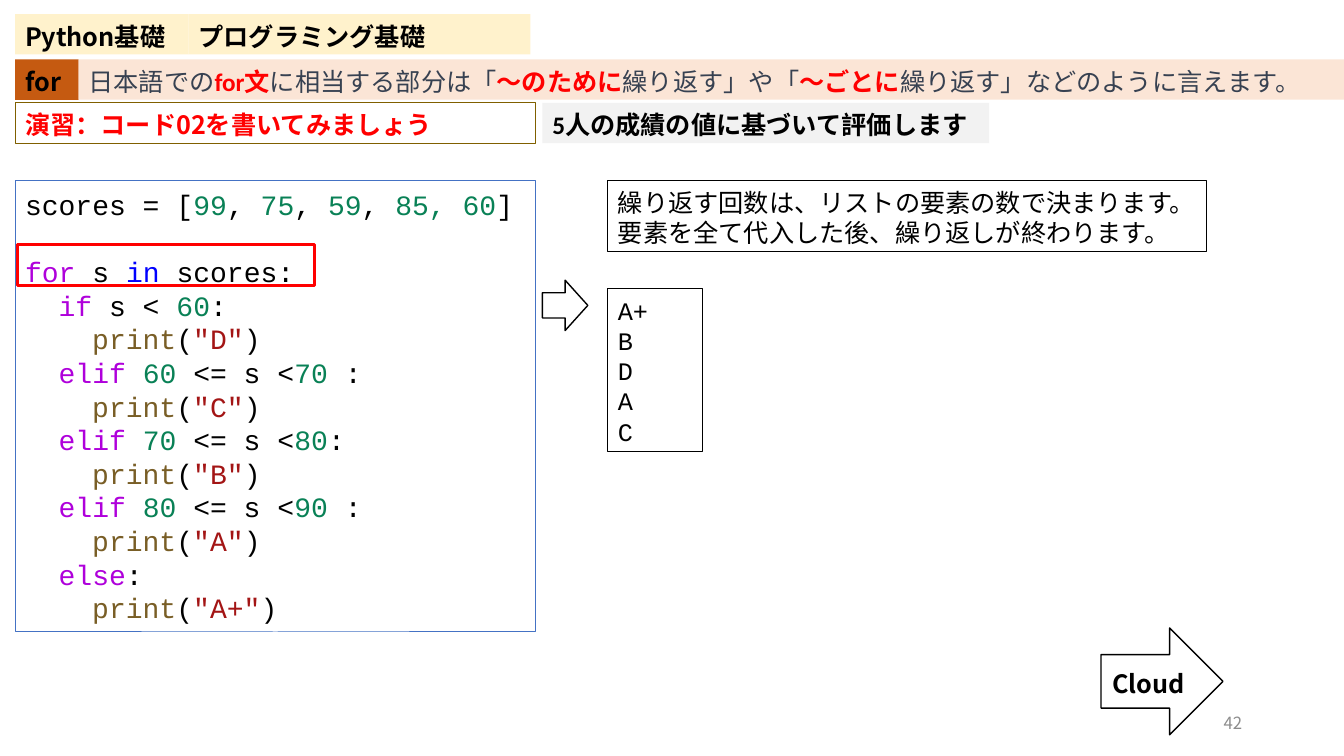
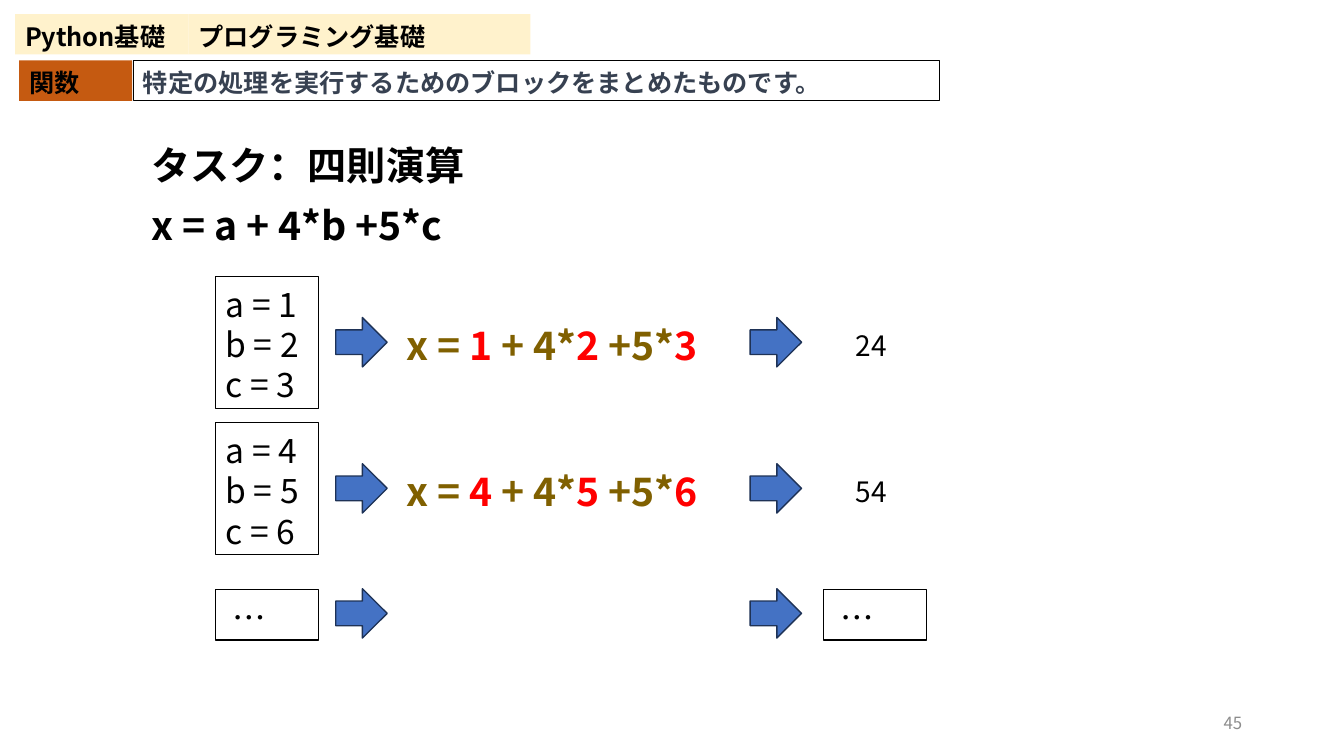
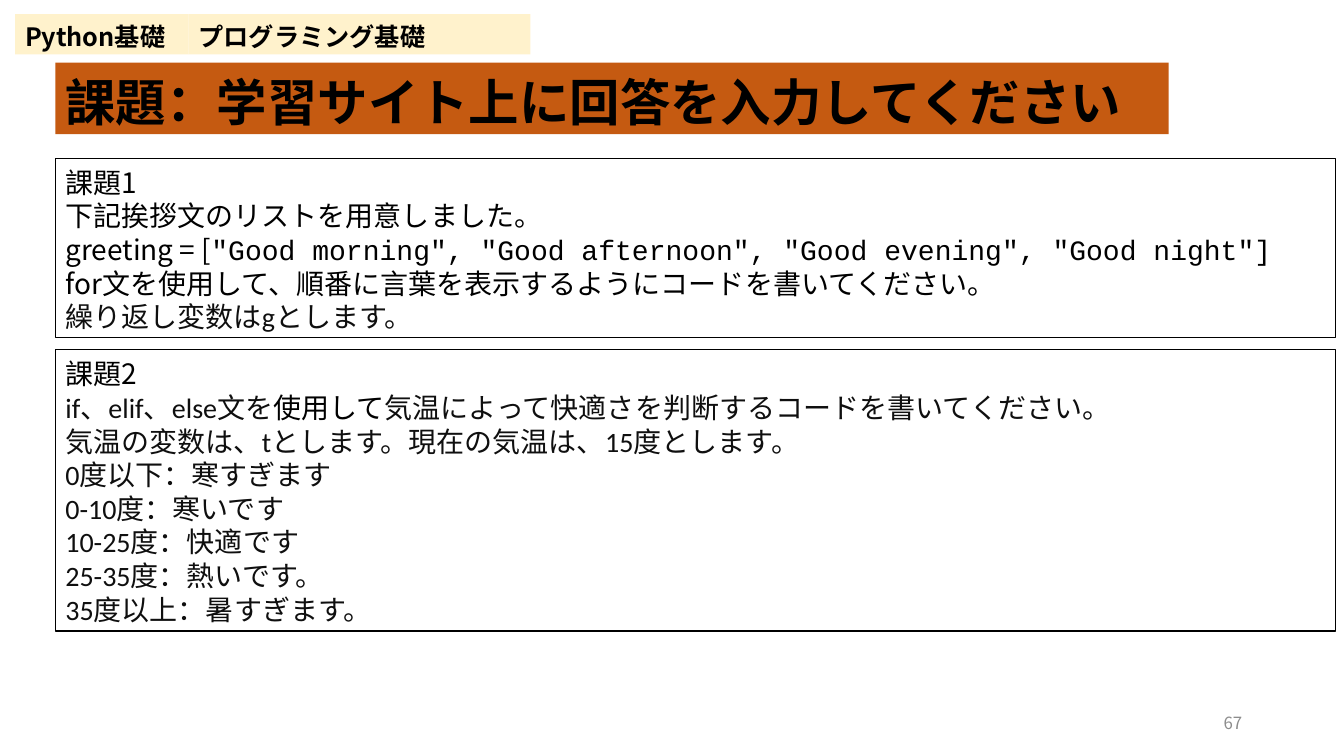
from pptx import Presentation
from pptx import util as u
from pptx.dml.color import RGBColor
from pptx.enum import shapes, text
from pptx.oxml.ns import qn
from lxml import etree

SANS, LATIN, MONO = "Noto Sans CJK JP", "Calibri", "Courier New"
BLACK, WHITE, RED, SLATE, INK = "000000", "FFFFFF", "FF0000", "374151", "0F0F0F"
ORANGE, PEACH, CREAM, GREY = "C55A11", "FBE5D6", "FFF2CC", "F2F2F2"
BLUE, NAVY, OLIVE, PAGE = "4472C4", "1E3256", "806000", "8C8C8C"
KEYWORD, NUMBER, CALL, STRING, OPERATOR = "AF00DB", "098156", "795E26", "A31515", "0000FF"
LINE_HEIGHT = 1.2
INDENT = 24  # two code characters, in points
RECT, ARROW = shapes.MSO_SHAPE.RECTANGLE, shapes.MSO_SHAPE.RIGHT_ARROW
TOP, MIDDLE = text.MSO_ANCHOR.TOP, text.MSO_ANCHOR.MIDDLE
LEFT, CENTER, RIGHT = text.PP_ALIGN.LEFT, text.PP_ALIGN.CENTER, text.PP_ALIGN.RIGHT


def rgb(value):
    return RGBColor.from_string(value)


def add_run(p, words, size, font, color, bold):
    r = p.add_run()
    r.text = words
    for name, value in {"size": u.Pt(size), "name": font, "bold": bold}.items():
        setattr(r.font, name, value)
    r.font.color.rgb = rgb(color)
    # Japanese letters always use the sans face
    latin = r.font._element.find(qn("a:latin"))
    ea = etree.Element(qn("a:ea"), typeface=SANS)
    latin.addnext(ea)


def write(sp, lines, size=18, font=SANS, color=BLACK, bold=False, align=LEFT,
          anchor=TOP, left=0.1, wrap=True):
    """Each line is a string or a list of strings and (string, changes) pairs."""
    tf = sp.text_frame
    top = 0.05 + (0.07 * size / 72 if anchor == TOP else 0)
    frame = {"word_wrap": wrap, "auto_size": text.MSO_AUTO_SIZE.NONE,
             "vertical_anchor": anchor, "margin_left": u.Inches(left),
             "margin_right": u.Inches(0.1), "margin_top": u.Inches(top),
             "margin_bottom": u.Inches(0)}
    for name, value in frame.items():
        setattr(tf, name, value)
    base = {"size": size, "font": font, "color": color, "bold": bold}
    for i, line in enumerate(lines):
        p = tf.add_paragraph() if i else tf.paragraphs[0]
        p.alignment = align
        p.line_spacing = u.Pt(size * LINE_HEIGHT)
        for part in [line] if isinstance(line, str) else line:
            words, changes = (part, {}) if isinstance(part, str) else part
            add_run(p, words, **{**base, **changes})
    return sp


def paint(sp, fill=None, line=None, width=0.75):
    if fill:
        sp.fill.solid()
        sp.fill.fore_color.rgb = rgb(fill)
    else:
        sp.fill.background()
    if line:
        sp.line.color.rgb = rgb(line)
        sp.line.width = u.Pt(width)
    else:
        sp.line.fill.background()


def box(s, at, lines=(), fill=None, line=None, width=0.75, kind=RECT, **style):
    sp = s.shapes.add_shape(kind, *map(u.Inches, at))
    sp.shadow.inherit = False
    paint(sp, fill, line, width)
    if lines:
        write(sp, lines, **style)
    return sp


def label(s, at, lines, **style):
    return write(s.shapes.add_textbox(*map(u.Inches, at)), lines, **style)


def new_slide(prs, title, at, page, size=18):
    """Course band, orange title and page number shared by all slides."""
    s = prs.slides.add_slide(prs.slide_layouts[5])
    box(s, (0.15, 0.14, 1.72, 0.4), ["Python基礎"], fill=CREAM, bold=True)
    box(s, (1.87, 0.14, 3.39, 0.4), ["プログラミング基礎"], fill=CREAM, bold=True)
    sp = s.shapes.title
    sp.left, sp.top, sp.width, sp.height = map(u.Inches, at)
    paint(sp, ORANGE)
    write(sp, [title], size=size, bold=True)
    label(s, (9.42, 6.95, 3, 0.4), [page], size=12, color=PAGE, align=RIGHT, anchor=MIDDLE)
    return s


# Code listing
def tint(words, color):
    return words, {"color": color}


def print_line(grade):
    return 2, [tint("print", CALL), "(", tint(f'"{grade}"', STRING), ")"]


def elif_line(low, high, end):
    return 1, [tint("elif ", KEYWORD), tint(low, NUMBER), " <= s <",
               tint(high, NUMBER), end]


def code_block(s, x, y, w, h):
    code = [
        (0, ["scores = [", tint("99", NUMBER), ", ", tint("75", NUMBER), ", ",
             tint("59", NUMBER), ", ", tint("85, 60", NUMBER), "]"]),
        (0, [tint("for", KEYWORD), " s ", tint("in", OPERATOR), " scores:"]),
        (1, [tint("if", KEYWORD), " s < ", tint("60", NUMBER), ":"]),
        print_line("D"),
    ]
    for low, high, end, grade in [("60", "70", " :", "C"), ("70", "80", ":", "B"),
                                  ("80", "90", " :", "A")]:
        code += [elif_line(low, high, end), print_line(grade)]
    code += [(1, [tint("else", KEYWORD), ":"]), print_line("A+")]
    sp = box(s, (x, y, w, h), [line for _, line in code], fill=WHITE, line=BLUE,
             size=20, font=MONO)
    paragraphs = sp.text_frame.paragraphs
    for p, (level, _) in zip(paragraphs, code):
        p._p.get_or_add_pPr().set("marL", str(u.Pt(INDENT * level)))
    paragraphs[1].space_before = u.Pt(20 * LINE_HEIGHT)
    # Frame around the loop line
    box(s, (x + 0.02, y + 0.64, 2.95, 0.4), line=RED, width=2.25)


def loop_slide(prs):
    s = new_slide(prs, "for", (0.15, 0.59, 0.63, 0.4), "42")
    key = {"color": RED, "bold": True}
    box(s, (0.78, 0.59, 12.55, 0.4),
        [["日本語での", ("for文", key), "に相当する部分は「", ("〜のために", key),
          "繰り返す」や「", ("〜ごとに", key), "繰り返す」などのように言えます。"]],
        fill=PEACH, font=LATIN, color=SLATE)
    # Exercise
    box(s, (0.15, 1.02, 5.16, 0.4), ["演習：コード02を書いてみましょう"],
        line=OLIVE, color=RED, bold=True)
    box(s, (5.38, 1.02, 4.43, 0.4), ["5人の成績の値に基づいて評価します"],
        fill=GREY, font=LATIN, bold=True)
    code_block(s, 0.15, 1.79, 5.16, 4.48)
    # Explanation and output
    box(s, (6.03, 1.79, 5.94, 0.71),
        ["繰り返す回数は、リストの要素の数で決まります。",
         "要素を全て代入した後、繰り返しが終わります。"], line=BLACK, font=MONO)
    box(s, (5.38, 2.78, 0.45, 0.5), line=BLACK, width=1, kind=ARROW)
    box(s, (6.03, 2.86, 0.94, 1.62), ["A+", "B", "D", "A", "C"], line=BLACK, font=MONO)
    box(s, (10.92, 6.23, 1.21, 1.06), ["Cloud"], fill=WHITE, line=BLACK, width=1,
        kind=ARROW, bold=True, align=CENTER, anchor=MIDDLE)


# Worked examples
def flow_arrows(s, x, y):
    for dx in (1.19, 5.3):
        box(s, (x + dx, y, 0.51, 0.49), fill=BLUE, line=NAVY, width=1, kind=ARROW)


def example_row(s, x, y, values, result):
    box(s, (x, y, 1.02, 1.31), [f"{n} = {v}" for n, v in zip("abc", values)],
        line=BLACK, size=24)
    flow_arrows(s, x, y + 0.41)
    a, b, c = (tint(str(v), RED) for v in values)
    label(s, (x + 1.7, y + 0.37, 3.8, 0.57), [["x = ", a, " + 4*", b, " +5*", c]],
          size=28, color=OLIVE, bold=True, left=0.19)
    label(s, (x + 6.25, y + 0.45, 0.51, 0.44), [result], size=20, wrap=False)


def more_row(s, x, y):
    for dx in (0, 6.03):
        box(s, (x + dx, y, 1.02, 0.5), ["…"], line=BLACK, size=24, left=0.17)
    flow_arrows(s, x, y - 0.01)


def function_slide(prs):
    s = new_slide(prs, "関数", (0.19, 0.6, 1.12, 0.4), "45")
    box(s, (1.32, 0.6, 8, 0.4),
        ["特定の処理を実行するためのブロックをまとめたものです。"],
        line=BLACK, font=LATIN, color=SLATE, bold=True)
    for i, words in enumerate(["タスク：四則演算", "x = a + 4*b +5*c"]):
        label(s, (1.31, 1.33 + 0.59 * i, 3.8, 0.57), [words], size=28, bold=True, left=0.19)
    for i, (values, result) in enumerate([((1, 2, 3), "24"), ((4, 5, 6), "54")]):
        example_row(s, 2.14, 2.74 + 1.45 * i, values, result)
    more_row(s, 2.14, 5.85)


def task_slide(prs):
    s = new_slide(prs, "課題：学習サイト上に回答を入力してください",
                  (0.55, 0.62, 11.04, 0.71), "67", size=36)
    ink = {"font": LATIN, "color": INK}
    greetings = '"Good morning", "Good afternoon", "Good evening", "Good night"]'
    first = ["課題1", "下記挨拶文のリストを用意しました。",
             ["greeting = [", (greetings, {"font": MONO})],
             "for文を使用して、順番に言葉を表示するようにコードを書いてください。",
             [("繰り返し変数はgとします。", ink)]]
    second = ["課題2",
              [("if、elif、else文を", ink), "使用して",
               ("気温によって快適さを判断するコードを書いてください。", ink)]]
    second += [[(words, ink)] for words in (
        "気温の変数は、tとします。現在の気温は、15度とします。", "0度以下：寒すぎます",
        "0-10度：寒いです", "10-25度：快適です", "25-35度：熱いです。",
        "35度以上：暑すぎます。")]
    for y, h, lines in [(1.57, 1.78, first), (3.47, 2.79, second)]:
        box(s, (0.55, y, 12.7, h), lines, fill=WHITE, line=BLACK, size=20)


def main():
    prs = Presentation()
    prs.slide_width, prs.slide_height = u.Inches(13.33), u.Inches(7.5)
    loop_slide(prs)
    function_slide(prs)
    task_slide(prs)
    prs.save("out.pptx")


if __name__ == "__main__":
    main()
